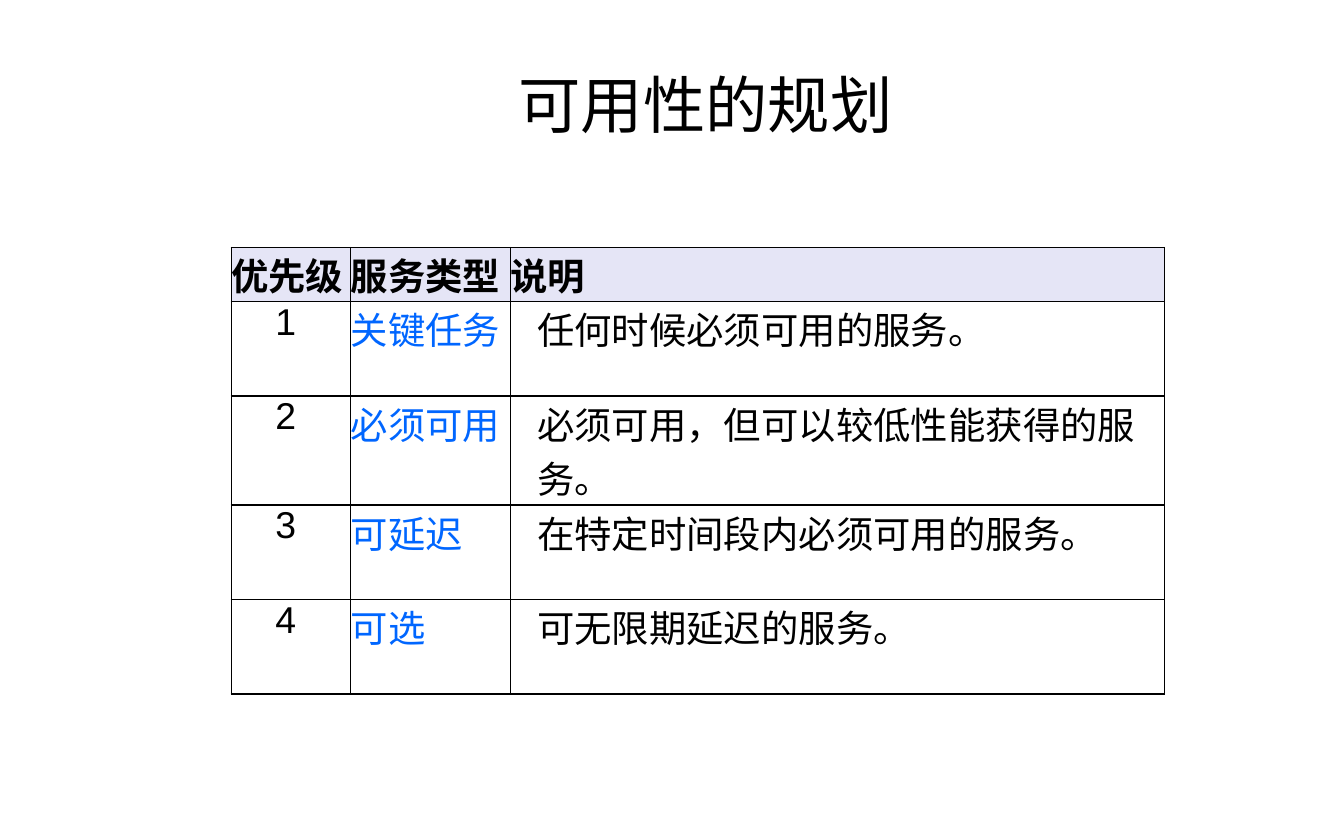
from dataclasses import dataclass

from lxml import etree
from pptx import Presentation
from pptx import util as u
from pptx.dml.color import RGBColor
from pptx.enum import text
from pptx.oxml.ns import qn


@dataclass(frozen=True)
class Theme:
    ink: str = "000000"
    service: str = "0066FF"
    header_fill: str = "CDCCEE"
    header_alpha: int = 50
    title_font: str = "Calibri"
    body_font: str = "Arial"
    title_size: float = 33.4
    body_size: float = 20
    border: float = 0.75


THEME = Theme()

HEADINGS = ("优先级", "服务类型", "说明")
SERVICES = (
    ("1 ", "关键任务", "任何时候必须可用的服务。"),
    ("2 ", "必须可用", "必须可用，但可以较低性能获得的服务。"),
    ("3 ", "可延迟", "在特定时间段内必须可用的服务。"),
    ("4 ", "可选", "可无限期延迟的服务。"),
)
CHARACTERS_PER_LINE = 16  # full-width characters in the description column


def style(paragraph, font_name, size, color, bold=False):
    font = paragraph.font
    font.name, font.size, font.bold = font_name, u.Pt(size), bold
    font.color.rgb = RGBColor.from_string(color)


def add_title(slide, left, top, width, height):
    title = slide.shapes.add_textbox(left, top, width, height).text_frame
    title.word_wrap = True
    title.vertical_anchor = text.MSO_ANCHOR.MIDDLE
    heading = title.paragraphs[0]
    heading.text = "可用性的规划"
    heading.alignment = text.PP_ALIGN.CENTER
    style(heading, THEME.title_font, THEME.title_size, THEME.ink)


def add_borders(cell):
    properties = cell._tc.get_or_add_tcPr()
    for side in ("a:lnL", "a:lnR", "a:lnT", "a:lnB"):
        line = etree.SubElement(properties, qn(side), w=str(u.Pt(THEME.border)))
        fill = etree.SubElement(line, qn("a:solidFill"))
        etree.SubElement(fill, qn("a:srgbClr"), val=THEME.ink)


def fill_header(cell):
    cell.fill.solid()
    cell.fill.fore_color.rgb = RGBColor.from_string(THEME.header_fill)
    color = cell._tc.tcPr.find(".//" + qn("a:srgbClr") + f"[@val='{THEME.header_fill}']")
    etree.SubElement(color, qn("a:alpha"), val=str(THEME.header_alpha * 1000))


def write_cell(cell, words, column, is_header):
    cell.margin_left = cell.margin_right = cell.margin_top = cell.margin_bottom = 0
    add_borders(cell)
    paragraph = cell.text_frame.paragraphs[0]
    paragraph.text = words
    color = THEME.ink
    if is_header:
        cell.vertical_anchor = text.MSO_ANCHOR.BOTTOM
        fill_header(cell)
    else:
        cell.fill.background()
        if column == 0:
            paragraph.alignment = text.PP_ALIGN.CENTER
        elif column == 1:
            color = THEME.service
        else:
            paragraph._p.get_or_add_pPr().set("marL", str(u.Cm(0.5)))
    style(paragraph, THEME.body_font, THEME.body_size, color, is_header)


def row_heights(height):
    """One-line services share what the header and wrapped rows leave."""
    header, two_lines = u.Cm(1.02), u.Cm(2.06)
    wrapped = [len(service[-1]) > CHARACTERS_PER_LINE for service in SERVICES]
    one_line = (height - header - two_lines * sum(wrapped)) // wrapped.count(False)
    return [header] + [two_lines if wraps else one_line for wraps in wrapped]


def add_priority_table(slide, left, top, width, height):
    rows = (HEADINGS, *SERVICES)
    table = slide.shapes.add_table(len(rows), len(HEADINGS), left, top, width, height).table
    table.first_row = table.horz_banding = False

    # Narrow columns first; the description takes the rest
    priority_width, service_width = u.Cm(2.26), u.Cm(3.02)
    widths = (priority_width, service_width, width - priority_width - service_width)
    for column, column_width in zip(table.columns, widths):
        column.width = column_width

    # Header and service rows
    for index, (row, row_height) in enumerate(zip(table.rows, row_heights(height))):
        row.height = row_height
        for column, words in enumerate(rows[index]):
            write_cell(table.cell(index, column), words, column, index == 0)


def main():
    deck = Presentation()
    deck.slide_width, deck.slide_height = u.Cm(25.4), u.Cm(15.88)
    slide = deck.slides.add_slide(deck.slide_layouts[6])
    add_title(slide, u.Cm(2.54), u.Cm(0.64), u.Cm(21.59), u.Cm(2.64))
    add_priority_table(slide, u.Cm(4.37), u.Cm(4.68), u.Cm(17.64), u.Cm(8.44))
    deck.save("out.pptx")


if __name__ == "__main__":
    main()
